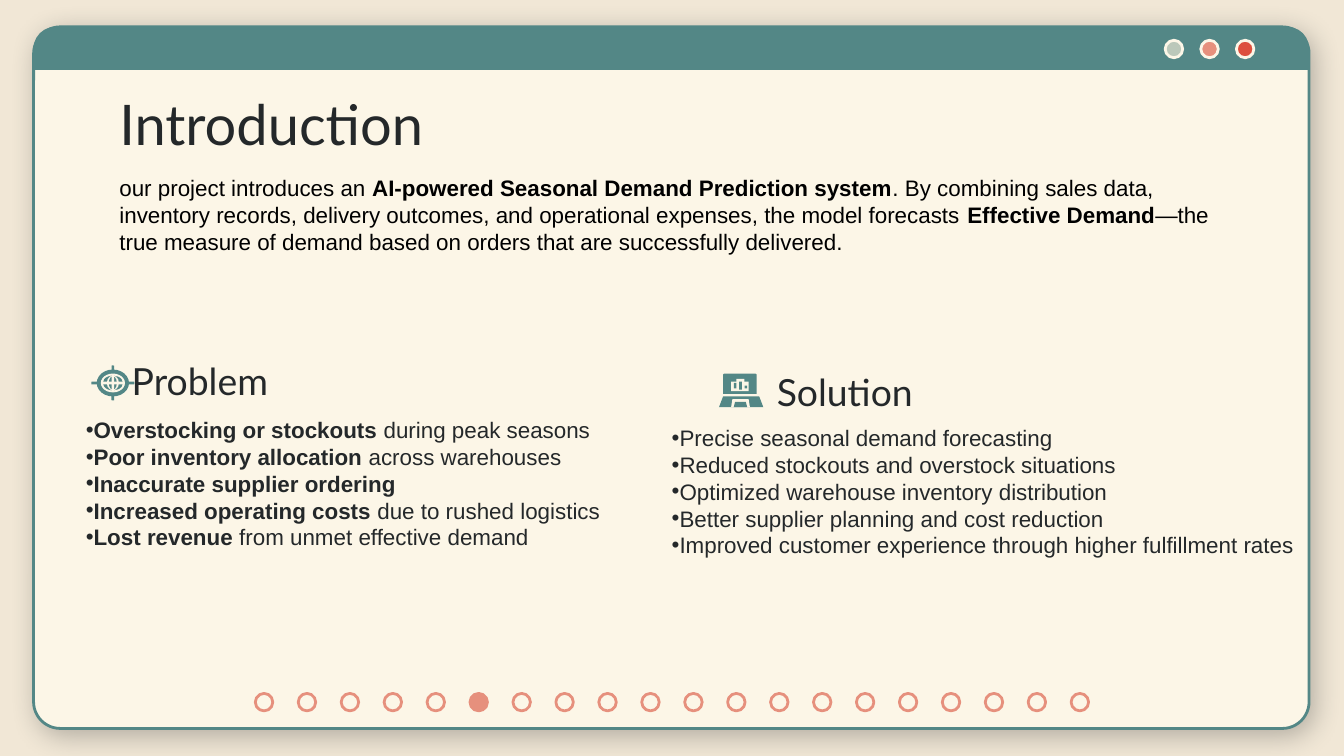
from lxml.etree import SubElement
from pptx import Presentation
from pptx.dml.color import RGBColor
from pptx.enum.shapes import MSO_SHAPE
from pptx.enum.text import MSO_ANCHOR
from pptx.oxml import parse_xml
from pptx.oxml.ns import nsdecls, qn
from pptx.util import Inches, Pt

SAND = RGBColor(0xF1, 0xE7, 0xD6)
CREAM = RGBColor(0xFC, 0xF6, 0xE7)
TEAL = RGBColor(0x53, 0x87, 0x86)
SAGE = RGBColor(0xBB, 0xC8, 0xBA)
CORAL = RGBColor(0xE6, 0x90, 0x7D)
RED = RGBColor(0xDD, 0x4F, 0x3D)
INK = RGBColor(0x24, 0x28, 0x2A)
BLACK = RGBColor(0x00, 0x00, 0x00)

deck = Presentation()
deck.slide_width = Inches(10)
deck.slide_height = Inches(10 * 9 / 16)
page = deck.slides.add_slide(deck.slide_layouts[6])
page.background.fill.solid()
page.background.fill.fore_color.rgb = SAND


def add_shape(kind, place, fill, line=None, adjustments=()):
    shape = page.shapes.add_shape(kind, *[Inches(length) for length in place])
    shape.shadow.inherit = False
    shape.fill.solid()
    shape.fill.fore_color.rgb = fill
    if line is None:
        shape.line.fill.background()
    else:
        shape.line.color.rgb = line
        shape.line.width = Pt(1.5)
    for index, value in enumerate(adjustments):
        shape.adjustments[index] = value
    return shape


def add_text(place, paragraphs, font, size, color, inset=0.05, left=0.1, anchor=MSO_ANCHOR.TOP, bullet=False):
    box = page.shapes.add_textbox(*[Inches(length) for length in place])
    frame = box.text_frame
    frame.word_wrap = True
    frame.vertical_anchor = anchor
    frame.margin_left = Inches(left)
    frame.margin_right = Inches(0.1)
    frame.margin_top = frame.margin_bottom = Inches(inset)
    for index, runs in enumerate(paragraphs):
        para = frame.paragraphs[0] if index == 0 else frame.add_paragraph()
        if bullet:
            properties = para._p.get_or_add_pPr()
            properties.set("marL", "0")
            properties.set("indent", "0")
            SubElement(properties, qn("a:buFont")).set("typeface", "Arial")
            SubElement(properties, qn("a:buChar")).set("char", "•")
        for text, bold in runs:
            span = para.add_run()
            span.text = text
            span.font.name = font
            span.font.size = Pt(size)
            span.font.bold = bold
            span.font.color.rgb = color


window = add_shape(MSO_SHAPE.ROUNDED_RECTANGLE, (0.25, 0.2, 9.49, 5.22), CREAM, TEAL, (0.038,))
window_properties = window._element.spPr
window_properties.remove(window_properties.find(qn("a:effectLst")))
window_properties.append(parse_xml(
    f'<a:effectLst {nsdecls("a")}>'
    f'<a:outerShdw blurRad="{Pt(14.6)}" dist="{Pt(3.8)}" dir="3000000" algn="bl" rotWithShape="0">'
    f'<a:srgbClr val="{INK}"><a:alpha val="30000"/></a:srgbClr>'
    '</a:outerShdw></a:effectLst>'
))
add_shape(MSO_SHAPE.ROUND_2_SAME_RECTANGLE, (0.25, 0.2, 9.49, 0.32), TEAL, adjustments=(0.5, 0))
for index, color in enumerate((SAGE, CORAL, RED)):
    add_shape(MSO_SHAPE.OVAL, (8.67 + index * 0.265, 0.3, 0.13, 0.13), color, CREAM)

headings = (
    ("Solution", (4.56, 2.55, 2.74, 0.63), 1.22),
    ("Problem", (0.04, 2.72, 2.74, 0.38), 0.94),
)
for heading, place, left in headings:
    add_text(place, [[(heading, False)]], "Lato", 20, INK, 0.1, left, MSO_ANCHOR.BOTTOM)
add_text((0.79, 0.57, 8.43, 0.63), [[("Introduction", False)]], "Lato", 30, INK, 0.1)

globe_parts = (
    (MSO_SHAPE.ROUNDED_RECTANGLE, 0.32, 0.02, TEAL),
    (MSO_SHAPE.ROUNDED_RECTANGLE, 0.02, 0.26, TEAL),
    (MSO_SHAPE.OVAL, 0.24, 0.2, TEAL),
    (MSO_SHAPE.OVAL, 0.18, 0.14, CREAM),
    (MSO_SHAPE.OVAL, 0.15, 0.11, TEAL),
    (MSO_SHAPE.OVAL, 0.09, 0.11, CREAM),
    (MSO_SHAPE.OVAL, 0.06, 0.1, TEAL),
    (MSO_SHAPE.RECTANGLE, 0.16, 0.02, CREAM),
    (MSO_SHAPE.RECTANGLE, 0.02, 0.12, CREAM),
)
for kind, width, height, color in globe_parts:
    add_shape(kind, (0.84 - width / 2, 2.85 - height / 2, width, height), color)

laptop_parts = (
    (MSO_SHAPE.ROUND_2_SAME_RECTANGLE, (5.38, 2.78, 0.25, 0.15), TEAL, (0.07, 0)),
    (MSO_SHAPE.RECTANGLE, (5.44, 2.84, 0.13, 0.07), CREAM, ()),
    (MSO_SHAPE.RECTANGLE, (5.48, 2.82, 0.06, 0.03), CREAM, ()),
    (MSO_SHAPE.RECTANGLE, (5.46, 2.85, 0.02, 0.04), TEAL, ()),
    (MSO_SHAPE.RECTANGLE, (5.5, 2.84, 0.02, 0.06), TEAL, ()),
    (MSO_SHAPE.RECTANGLE, (5.54, 2.87, 0.02, 0.02), TEAL, ()),
    (MSO_SHAPE.TRAPEZOID, (5.35, 2.95, 0.33, 0.08), TEAL, (0.38,)),
    (MSO_SHAPE.TRAPEZOID, (5.44, 2.97, 0.14, 0.06), CREAM, (0.17,)),
    (MSO_SHAPE.TRAPEZOID, (5.46, 2.99, 0.1, 0.04), TEAL, (0.25,)),
)
for kind, place, color, adjustments in laptop_parts:
    add_shape(kind, place, color, adjustments=adjustments)

for index in range(20):
    fill = CORAL if index == 5 else CREAM
    add_shape(MSO_SHAPE.OVAL, (1.9 + index * 6.07 / 19, 5.16, 0.13, 0.13), fill, CORAL)

problems = [
    [("Overstocking or stockouts", True), (" during peak seasons", False)],
    [("Poor inventory allocation", True), (" across warehouses", False)],
    [("Inaccurate supplier ordering", True)],
    [("Increased operating costs", True), (" due to rushed logistics", False)],
    [("Lost revenue", True), (" from unmet effective demand", False)],
]
solutions = [
    [("Precise seasonal demand forecasting", False)],
    [("Reduced stockouts and overstock situations", False)],
    [("Optimized warehouse inventory distribution", False)],
    [("Better supplier planning and cost reduction", False)],
    [("Improved customer experience through higher fulfillment rates", False)],
]
for place, points in (((0.54, 3.04, 5.38, 1.11), problems), ((4.9, 3.1, 4.86, 1.11), solutions)):
    add_text(place, points, "Arial", 12, INK, anchor=MSO_ANCHOR.MIDDLE, bullet=True)

summary = [
    ("our project introduces an ", False),
    ("AI-powered Seasonal Demand Prediction system", True),
    (". By combining sales data, inventory records, delivery outcomes, and operational expenses, "
     "the model forecasts ", False),
    ("Effective Demand", True),
    ("—the true measure of demand based on orders that are successfully delivered.", False),
]
add_text((0.79, 1.25, 8.6, 0.71), [summary], "Arial", 12, BLACK)

deck.save("out.pptx")
